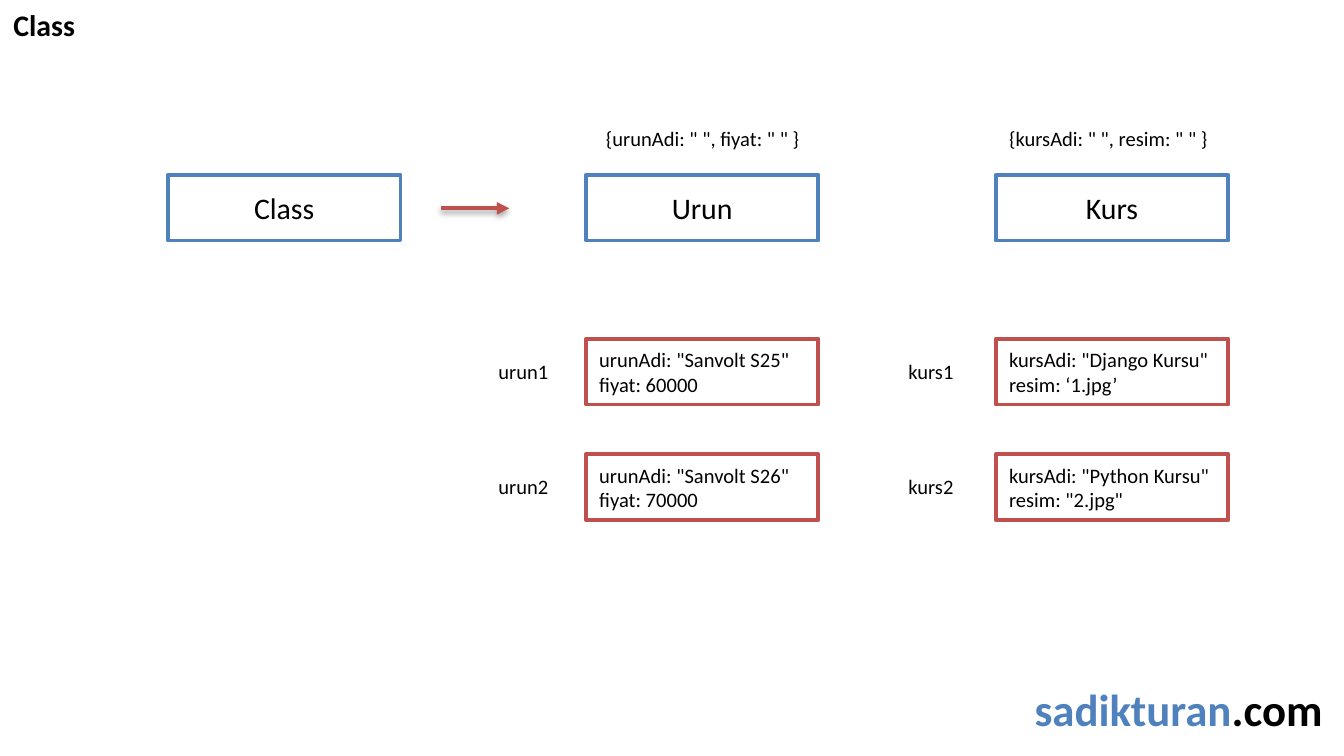
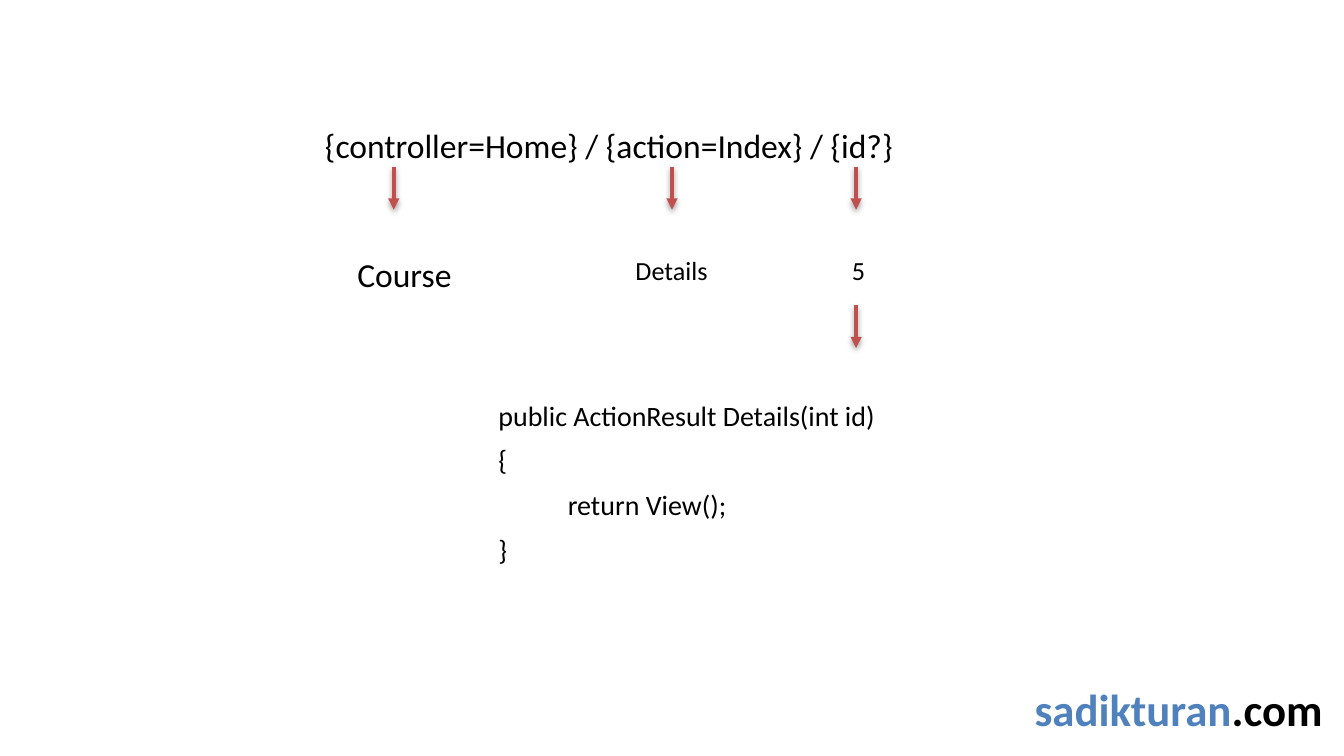
from dataclasses import dataclass

from lxml import etree
from pptx import Presentation
from pptx import util as u
from pptx.dml.color import RGBColor
from pptx.enum import shapes, text
from pptx.oxml.ns import qn

PX = 9144  # EMU per px, 100 px to the inch
FONT = "Calibri"
BLUE = RGBColor(0x4F, 0x81, 0xBD)
RED = RGBColor(0xC0, 0x50, 0x4D)
BLACK = RGBColor(0, 0, 0)
WHITE = RGBColor(0xFF, 0xFF, 0xFF)
TITLE_ONLY, BLANK = 5, 6

BOX_W, BOX_H = 173, 49
CLASS_TOP, SCHEMA_TOP = 130, 89
INSTANCE_TOP, INSTANCE_STEP = 252, 86
ARROW_LEN = 32


@dataclass(frozen=True)
class Run:
    text: str
    size: int
    color: RGBColor = BLACK
    bold: bool = False


@dataclass(frozen=True)
class Area:
    left: int
    top: int
    width: int
    height: int

    def emu(self) -> list[int]:
        return [v * PX for v in (self.left, self.top, self.width, self.height)]


@dataclass(frozen=True)
class Instance:
    name: str
    fields: tuple[str, str]


@dataclass(frozen=True)
class ClassColumn:
    left: int
    name: str
    schema: str
    schema_left: int
    instances: tuple[Instance, Instance]


@dataclass(frozen=True)
class RouteValue:
    area: Area
    text: str
    size: int


COLUMNS = (
    ClassColumn(436, "Urun", '{urunAdi: " ", fiyat: " " }', 441, (
        Instance("urun1", ('urunAdi: "Sanvolt S25"', "fiyat: 60000")),
        Instance("urun2", ('urunAdi: "Sanvolt S26"', "fiyat: 70000")),
    )),
    ClassColumn(741, "Kurs", '{kursAdi: " ", resim: " " }', 741, (
        Instance("kurs1", ('kursAdi: "Django Kursu"', "resim: ‘1.jpg’")),
        Instance("kurs2", ('kursAdi: "Python Kursu"', 'resim: "2.jpg"')),
    )),
)

ROUTE_VALUES = (
    RouteValue(Area(256, 184, 105, 40), "Course", 18),
    RouteValue(Area(463, 184, 83, 34), "Details", 14),
    RouteValue(Area(624, 184, 74, 34), "5", 14),
)
ROUTE_ARROWS = ((293, 124), (500, 124), (637, 124), (637, 227))

ACTION_CODE = (
    "public ActionResult Details(int id)",
    "{",
    "           return View();",
    "}",
)


def write(tf, lines: list[list[Run]], align=text.PP_ALIGN.LEFT,
          anchor=text.MSO_ANCHOR.TOP, spacing: float | None = None,
          inset_y: int = 5) -> None:
    """Fill a text frame, one list of runs per paragraph."""
    tf.word_wrap = True
    tf.vertical_anchor = anchor
    tf.margin_left = tf.margin_right = 10 * PX
    tf.margin_top = tf.margin_bottom = inset_y * PX
    for i, runs in enumerate(lines):
        p = tf.add_paragraph() if i else tf.paragraphs[0]
        p.alignment = align
        if spacing:
            p.line_spacing = spacing
        for run in runs:
            r = p.add_run()
            r.text = run.text
            r.font.name = FONT
            r.font.size = u.Pt(run.size)
            r.font.bold = run.bold
            r.font.color.rgb = run.color


def add_label(slide, area: Area, lines: list[list[Run]], **style) -> None:
    tf = slide.shapes.add_textbox(*area.emu()).text_frame
    write(tf, lines, **style)
    tf.auto_size = text.MSO_AUTO_SIZE.SHAPE_TO_FIT_TEXT


def add_box(slide, area: Area, line: RGBColor | None, lines: list[list[Run]],
            **style) -> None:
    sp = slide.shapes.add_shape(shapes.MSO_SHAPE.RECTANGLE, *area.emu())
    sp.shadow.inherit = False
    sp.fill.solid()
    sp.fill.fore_color.rgb = WHITE
    if line is None:
        sp.line.fill.background()
    else:
        sp.line.color.rgb = line
        sp.line.width = u.Pt(2)
    write(sp.text_frame, lines, **style)


def add_class_box(slide, left: int, name: str) -> None:
    add_box(slide, Area(left, CLASS_TOP, BOX_W, BOX_H), BLUE, [[Run(name, 16)]],
            align=text.PP_ALIGN.CENTER, anchor=text.MSO_ANCHOR.MIDDLE)


def add_arrow(slide, start: tuple[int, int], end: tuple[int, int],
              width: float = 2, shadow_dist: int = 20000,
              shadow_alpha: int = 38) -> None:
    """Draw a red arrow with a soft shadow below it."""
    cx = slide.shapes.add_connector(
        shapes.MSO_CONNECTOR.STRAIGHT, *(v * PX for v in start + end))
    cx.line.color.rgb = RED
    cx.line.width = u.Pt(width)
    sp_pr = cx._element.spPr
    etree.SubElement(sp_pr.find(qn("a:ln")), qn("a:tailEnd"), type="triangle")
    effects = etree.SubElement(sp_pr, qn("a:effectLst"))
    shadow = etree.SubElement(
        effects, qn("a:outerShdw"), blurRad="40000", dist=str(shadow_dist),
        dir="5400000", rotWithShape="0")
    color = etree.SubElement(shadow, qn("a:srgbClr"), val=str(BLACK))
    etree.SubElement(color, qn("a:alpha"), val=str(shadow_alpha * 1000))


def add_slide(prs, title: str | None = None):
    """Add a slide with the site footer and, if given, a title."""
    slide = prs.slides.add_slide(prs.slide_layouts[TITLE_ONLY if title else BLANK])
    if title:
        sp = slide.shapes.title
        sp.left, sp.top, sp.width, sp.height = Area(0, 0, 503, 37).emu()
        write(sp.text_frame, [[Run(title, 16, bold=True)]])
        sp.text_frame.auto_size = text.MSO_AUTO_SIZE.NONE
    add_label(slide, Area(760, 502, 237, 50),
              [[Run("sadikturan", 24, BLUE, True), Run(".com", 24, bold=True)]])
    return slide


def add_column(slide, col: ClassColumn) -> None:
    """Draw a class, its fields and its instances below it."""
    add_label(slide, Area(col.schema_left, SCHEMA_TOP, BOX_W, 29),
              [[Run(col.schema, 11)]])
    add_class_box(slide, col.left, col.name)
    for i, instance in enumerate(col.instances):
        top = INSTANCE_TOP + i * INSTANCE_STEP
        add_label(slide, Area(col.left - 75, top + 10, 59, 29),
                  [[Run(instance.name, 11)]])
        add_box(slide, Area(col.left, top, BOX_W, BOX_H), RED,
                [[Run(field, 11)] for field in instance.fields],
                anchor=text.MSO_ANCHOR.MIDDLE)


def build_class_slide(prs) -> None:
    slide = add_slide(prs, "Class")
    add_class_box(slide, 125, "Class")
    add_arrow(slide, (328, 155), (379, 155), 2.25, 23000, 35)
    for col in COLUMNS:
        add_column(slide, col)


def build_route_slide(prs) -> None:
    slide = add_slide(prs)
    add_box(slide, Area(232, 73, 567, 50), None,
            [[Run("{controller=Home} / {action=Index} / {id?}", 18)]],
            spacing=1.33, inset_y=10)
    for value in ROUTE_VALUES:
        add_label(slide, value.area, [[Run(value.text, value.size)]])
    add_label(slide, Area(361, 278, 651, 146),
              [[Run(line, 15)] for line in ACTION_CODE],
              spacing=1.33, inset_y=10)
    for x, y in ROUTE_ARROWS:
        add_arrow(slide, (x, y), (x, y + ARROW_LEN))


def main() -> None:
    prs = Presentation()
    prs.slide_width = 1000 * PX
    prs.slide_height = prs.slide_width * 9 // 16
    build_class_slide(prs)
    build_route_slide(prs)
    prs.save("out.pptx")


if __name__ == "__main__":
    main()
